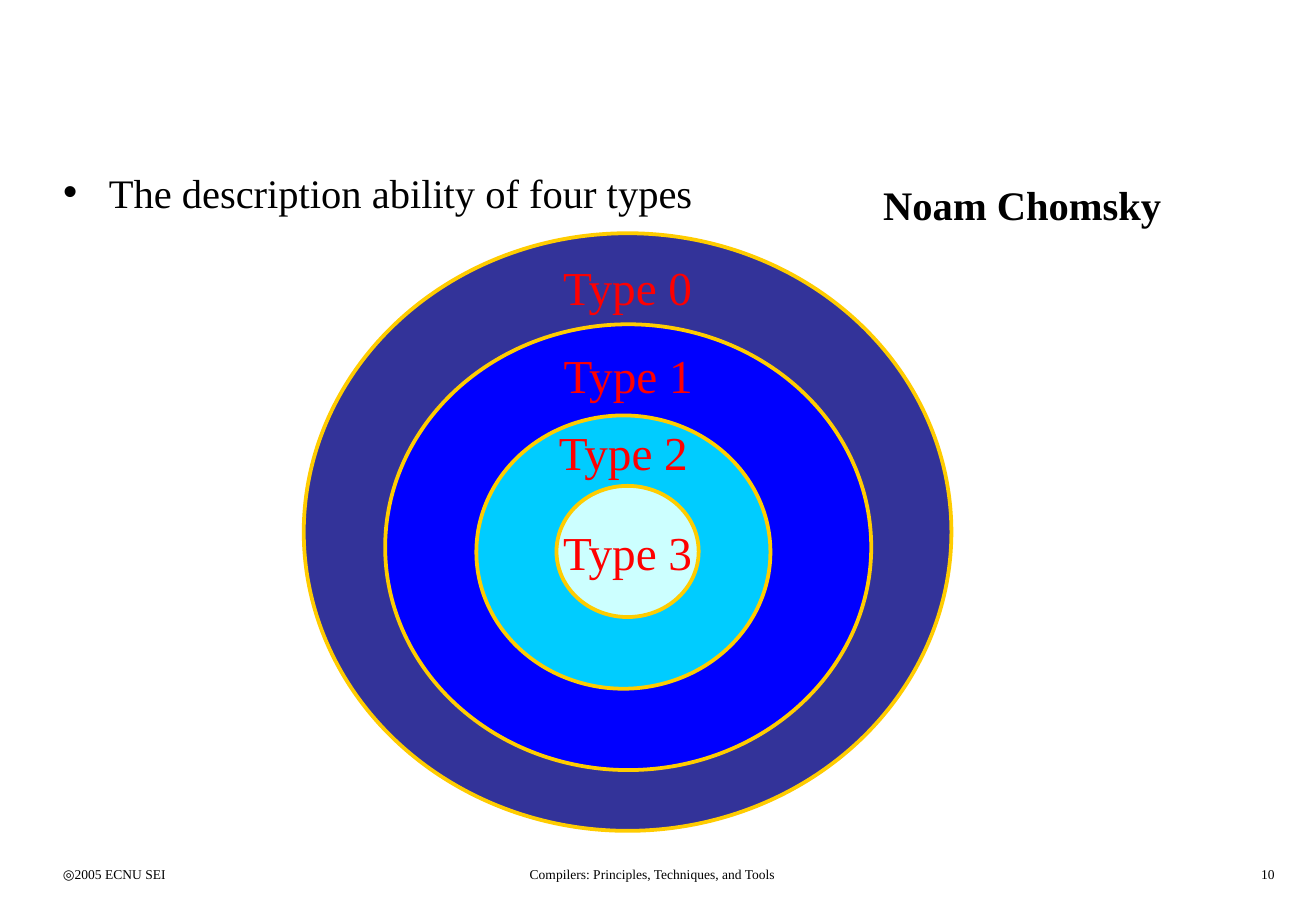
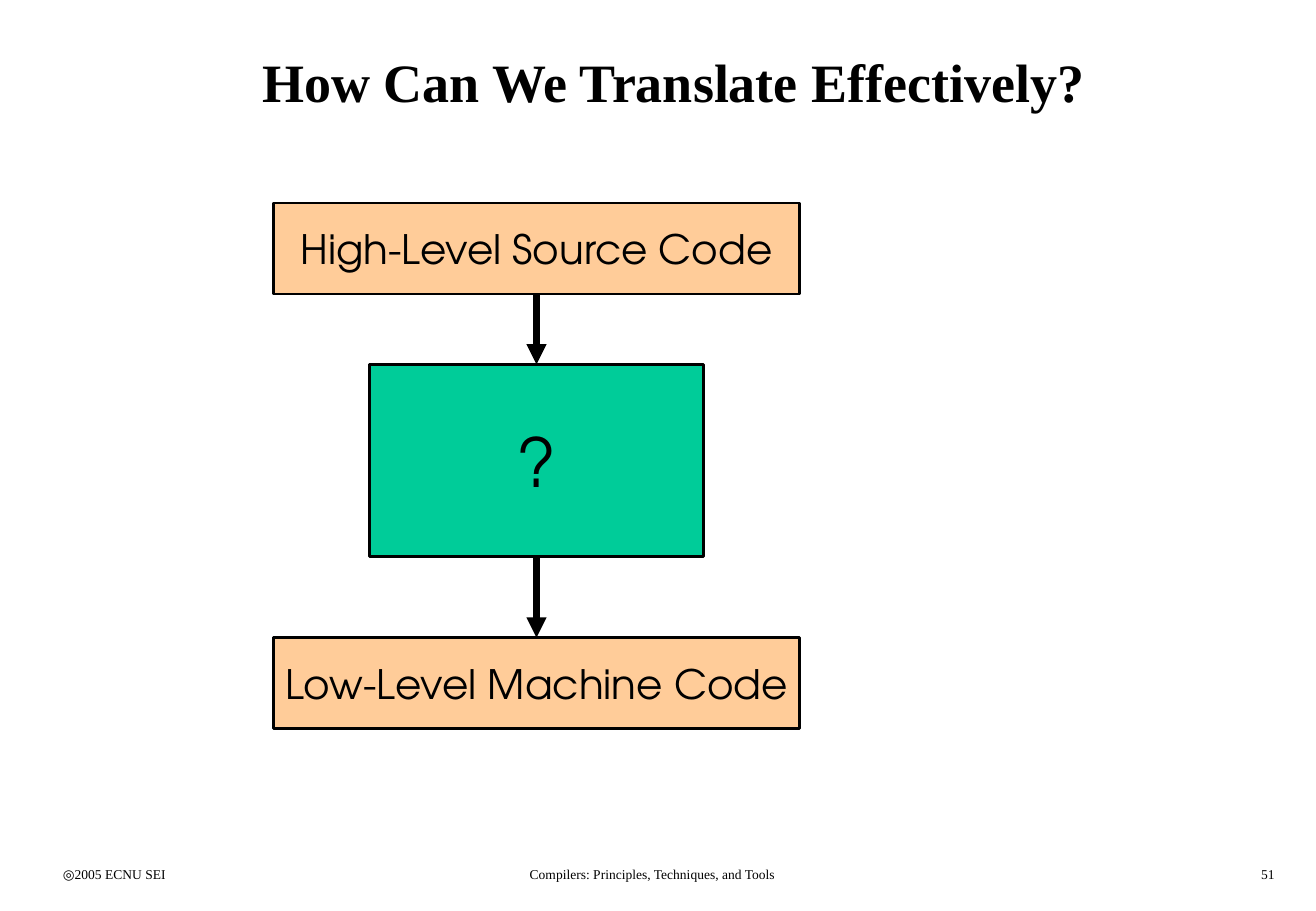
from lxml import etree
from pptx import Presentation
from pptx import util as u
from pptx.dml.color import RGBColor
from pptx.enum import shapes, text
from pptx.oxml.ns import qn

SERIF, SANS = "Times New Roman", "TeX Gyre Adventor"
BLACK, RED, GOLD, PEACH, GREEN = "000000", "FF0000", "FFCC00", "FFCC99", "00CC99"
LEFT, CENTER, RIGHT = text.PP_ALIGN.LEFT, text.PP_ALIGN.CENTER, text.PP_ALIGN.RIGHT

PLACEHOLDERS = {0: (0.42, 0.17, 10.25, 1), 1: (0.42, 1.33, 10.25, 5.58)}
FOOTER_TOP, FOOTER_HEIGHT = 7.08, 0.25
FOOTERS = [  # left, width, alignment, wording
    (0.42, 2.26, LEFT, "◎2005 ECNU SEI"),
    (3.34, 4.06, CENTER, "Compilers: Principles, Techniques, and Tools"),
    (8.33, 2.26, RIGHT, "{page}"),
]

RINGS = [  # label, fill, left, top, width, height, middle of the label
    ("Type 0", "333399", 2.5, 1.92, 5.33, 4.92, 2.36),
    ("Type 1", "0000FF", 3.17, 2.67, 4, 3.67, 3.08),
    ("Type 2", "00CCFF", 3.92, 3.42, 2.42, 2.25, 3.72),
    ("Type 3", "CCFFFF", 4.58, 4, 1.17, 1.08, 4.54),
]
LABEL_WIDTH, LABEL_HEIGHT = 1.3, 0.55

FLOW_CENTER = 4.415
STAGES = [  # wording, fill, top, width, height, text size
    ("High-Level Source Code", PEACH, 1.67, 4.33, 0.75, 24),
    ("?", GREEN, 3, 2.75, 1.58, 40),
    ("Low-Level Machine Code", PEACH, 5.25, 4.33, 0.75, 24),
]


def color(value):
    return RGBColor.from_string(value)


def place(shape, box):
    for name, value in zip(("left", "top", "width", "height"), box):
        setattr(shape, name, u.Inches(value))


def write(shape, words, size, ink=BLACK, align=CENTER, font=SERIF, bold=False,
          wrap=False, anchor=text.MSO_ANCHOR.MIDDLE):
    frame = shape.text_frame
    frame.text = words
    frame.auto_size = text.MSO_AUTO_SIZE.NONE
    frame.word_wrap = wrap
    frame.vertical_anchor = anchor
    paragraph = frame.paragraphs[0]
    paragraph.alignment = align
    paragraph.space_before = u.Pt(0)
    for name, value in {"size": u.Pt(size), "name": font, "bold": bold}.items():
        setattr(paragraph.font, name, value)
    paragraph.font.color.rgb = color(ink)


def add_text(slide, box, words, size, **style):
    write(slide.shapes.add_textbox(*map(u.Inches, box)), words, size, **style)


def add_figure(slide, kind, box, fill, line, weight):
    shape = slide.shapes.add_shape(kind, *map(u.Inches, box))
    shape.shadow.inherit = False
    shape.fill.solid()
    shape.fill.fore_color.rgb = color(fill)
    shape.line.color.rgb = color(line)
    shape.line.width = u.Pt(weight)
    return shape


def add_arrow(slide, upper, lower):
    arrow = slide.shapes.add_connector(shapes.MSO_CONNECTOR.STRAIGHT, 0, 0, 0, 0)
    arrow.begin_connect(upper, 2)
    arrow.end_connect(lower, 0)
    arrow.line.color.rgb = color(BLACK)
    arrow.line.width = u.Pt(4)
    etree.SubElement(arrow.line._get_or_add_ln(), qn("a:tailEnd"), type="triangle")
    etree.SubElement(arrow._element.spPr, qn("a:effectLst"))


def add_slide(presentation, page, title=None, body=None):
    slide = presentation.slides.add_slide(presentation.slide_layouts[1])
    if title:
        write(slide.placeholders[0], title, 32, bold=True, wrap=True)
    if body:
        write(slide.placeholders[1], body, 24, align=LEFT, wrap=True,
              anchor=text.MSO_ANCHOR.TOP)
    for placeholder in list(slide.placeholders):
        if not placeholder.text_frame.text:
            placeholder._element.getparent().remove(placeholder._element)
    for left, width, align, words in FOOTERS:
        add_text(slide, (left, FOOTER_TOP, width, FOOTER_HEIGHT),
                 words.format(page=page), 8, align=align, wrap=True,
                 anchor=text.MSO_ANCHOR.TOP)
    return slide


def build_hierarchy(presentation):
    slide = add_slide(presentation, 10, body="The description ability of four types")
    for label, fill, left, top, width, height, middle in RINGS:
        add_figure(slide, shapes.MSO_SHAPE.OVAL, (left, top, width, height), fill, GOLD, 2.25)
        label_box = (left + (width - LABEL_WIDTH) / 2, middle - LABEL_HEIGHT / 2,
                     LABEL_WIDTH, LABEL_HEIGHT)
        add_text(slide, label_box, label, 28, ink=RED)
    add_text(slide, (7.17, 1.43, 2.51, 0.51), "Noam Chomsky", 24, align=LEFT, bold=True)


def build_translation(presentation):
    slide = add_slide(presentation, 51, title="How Can We Translate Effectively?")
    boxes = []
    for words, fill, top, width, height, size in STAGES:
        box = add_figure(slide, shapes.MSO_SHAPE.RECTANGLE,
                         (FLOW_CENTER - width / 2, top, width, height), fill, BLACK, 1.5)
        write(box, words, size, font=SANS)
        boxes.append(box)
    for upper, lower in zip(boxes, boxes[1:]):
        add_arrow(slide, upper, lower)


def main():
    presentation = Presentation()
    presentation.slide_width, presentation.slide_height = u.Inches(10.83), u.Inches(7.5)
    for placeholder in presentation.slide_layouts[1].placeholders:
        if placeholder.placeholder_format.idx in PLACEHOLDERS:
            place(placeholder, PLACEHOLDERS[placeholder.placeholder_format.idx])
    build_hierarchy(presentation)
    build_translation(presentation)
    presentation.save("out.pptx")


if __name__ == "__main__":
    main()
